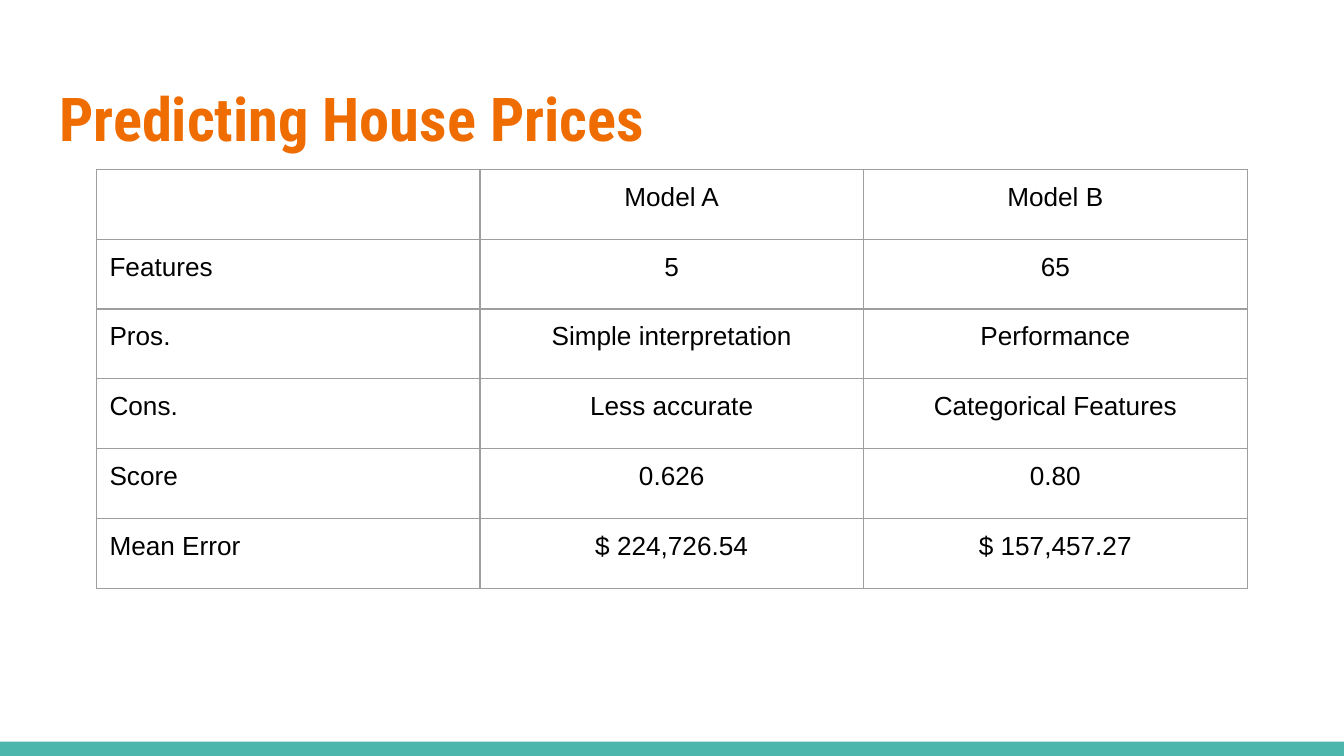
from lxml import etree
from pptx import Presentation
from pptx.dml.color import RGBColor
from pptx.enum.shapes import MSO_SHAPE
from pptx.enum.text import MSO_ANCHOR, PP_ALIGN
from pptx.oxml.ns import qn
from pptx.util import Cm, Pt

RECT = MSO_SHAPE.RECTANGLE
MIDDLE = MSO_ANCHOR.MIDDLE
LEFT, CENTER = PP_ALIGN.LEFT, PP_ALIGN.CENTER
COLORS = {"bar": "4DB6AC", "title": "EF6C00", "text": "000000", "grid": "9E9E9E"}
ROWS = [
    ("", "Model A", "Model B"),
    ("Features", "5", "65"),
    ("Pros.", "Simple interpretation", "Performance"),
    ("Cons.", "Less accurate", "Categorical Features"),
    ("Score", "0.626", "0.80"),
    ("Mean Error", "$ 224,726.54", "$ 157,457.27"),
]
COL_W, ROW_H = 7.25, 1.32
PAD = Cm(0.25)


def style(par, name, size, color, bold=False):
    for run in par.runs:
        run.font.name = name
        run.font.size = Pt(size)
        run.font.bold = bold
        run.font.color.rgb = RGBColor.from_string(COLORS[color])


def outline(cell):
    """Draw a thin grid line on all four sides of a cell."""
    props = cell._tc.get_or_add_tcPr()
    for side in ("lnL", "lnR", "lnT", "lnB"):
        line = etree.SubElement(props, qn(f"a:{side}"), w=str(Pt(0.75)))
        fill = etree.SubElement(line, qn("a:solidFill"))
        etree.SubElement(fill, qn("a:srgbClr"), val=COLORS["grid"])


prs = Presentation()
prs.slide_width, prs.slide_height = Cm(25.4), Cm(14.29)
slide = prs.slides.add_slide(prs.slide_layouts[6])

# Bottom bar
bar = slide.shapes.add_shape(RECT, 0, Cm(14.02), Cm(25.4), Cm(0.27))
bar.shadow.inherit = False
bar.fill.solid()
bar.fill.fore_color.rgb = RGBColor.from_string(COLORS["bar"])
bar.line.fill.background()

# Title
title = slide.shapes.add_textbox(Cm(0.87), Cm(1.25), Cm(23.67), Cm(1.95))
frame = title.text_frame
frame.word_wrap = True
frame.vertical_anchor = MIDDLE
frame.margin_left = frame.margin_right = PAD
frame.margin_top = frame.margin_bottom = PAD
frame.text = "Predicting House Prices"
style(frame.paragraphs[0], "Roboto Condensed", 32.4, "title", True)

# Model comparison
cols = len(ROWS[0])
table = slide.shapes.add_table(
    len(ROWS), cols, Cm(1.82), Cm(3.2), Cm(COL_W * cols), Cm(ROW_H * len(ROWS))
).table
table.first_row = table.horz_banding = False
for col in table.columns:
    col.width = Cm(COL_W)
for r, row in enumerate(ROWS):
    table.rows[r].height = Cm(ROW_H)
    for c, text in enumerate(row):
        cell = table.cell(r, c)
        cell.margin_left = cell.margin_right = PAD
        cell.margin_top = cell.margin_bottom = PAD
        outline(cell)
        cell.fill.background()
        par = cell.text_frame.paragraphs[0]
        par.text = text
        par.alignment = CENTER if c else LEFT
        style(par, "Arial", 14, "text")

prs.save("out.pptx")
